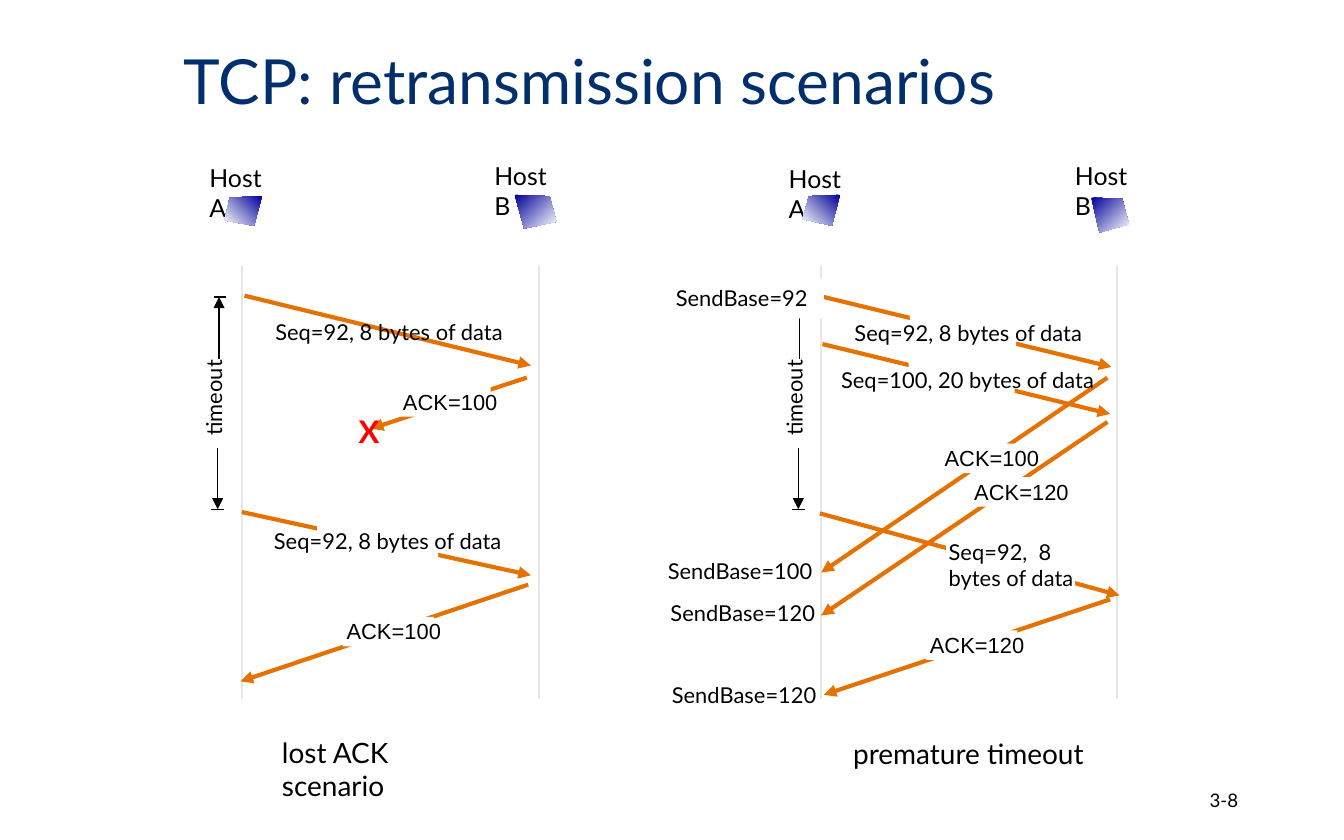
from lxml import etree
from pptx import Presentation
from pptx.dml.color import RGBColor
from pptx.enum.shapes import MSO_CONNECTOR, MSO_SHAPE
from pptx.enum.text import MSO_ANCHOR, PP_ALIGN
from pptx.oxml.ns import qn
from pptx.util import Emu, Pt

SCALE = 9144  # EMU per px, 100 px to the inch
BLACK, WHITE, NAVY, ORANGE = "000000", "FFFFFF", "002F6C", "E57200"
GREY, RED, BLUE = "E7E6E6", "FF0000", "000099"


def px(*values):
    return [Emu(v * SCALE) for v in values]


def rgb(hex_string):
    return RGBColor.from_string(hex_string)


class Diagram:
    font, label_size = "Lato", 11.7

    def __init__(self, slide):
        self.s = slide

    def fill_text(self, sp, text, size=None, color=BLACK, font=None, bold=False,
                  wrap=False, align=PP_ALIGN.LEFT, anchor=MSO_ANCHOR.TOP, spacing=None):
        tf = sp.text_frame
        tf.word_wrap, tf.vertical_anchor = wrap, anchor
        style = {"name": font or self.font, "size": Pt(size or self.label_size), "bold": bold}
        for i, line in enumerate(text.split("\n")):
            p = tf.add_paragraph() if i else tf.paragraphs[0]
            p.alignment, p.line_spacing = align, spacing
            r = p.add_run()
            r.text = line
            for key, value in style.items():
                setattr(r.font, key, value)
            r.font.color.rgb = rgb(color)

    def text(self, box, text, **style):
        sp = self.s.shapes.add_textbox(*px(*box))
        self.fill_text(sp, text, **style)
        return sp

    def rect(self, box):
        sp = self.s.shapes.add_shape(MSO_SHAPE.RECTANGLE, *px(*box))
        sp.shadow.inherit = False
        sp.fill.solid()
        sp.fill.fore_color.rgb = rgb(WHITE)
        sp.line.fill.background()
        return sp

    def line(self, start, end, color, width=0.75, arrow=False):
        sp = self.s.shapes.add_connector(MSO_CONNECTOR.STRAIGHT, *px(*start, *end))
        sp.line.color.rgb, sp.line.width = rgb(color), Pt(width)
        if arrow:
            etree.SubElement(sp.line._get_or_add_ln(), qn("a:tailEnd"), type="triangle")
        etree.SubElement(sp._element.spPr, qn("a:effectLst"))

    def message(self, start, end):
        self.line(start, end, ORANGE, 2.25, arrow=True)

    def data(self, start, end, label_box, text, mask=None):
        self.message(start, end)
        if mask:
            self.rect(mask)
        self.text(label_box, text)

    def ack(self, start, end, x, y, number):
        self.message(start, end)
        self.rect((x + 7, y + 4, 68, 22))
        self.text((x, y, 91, 30), f"ACK={number}", font="Arial")

    def timeout(self, x, top_bar=True):
        label = self.text((x - 19, 269, 40, 65), "timeout")
        label.rotation = 180
        label.text_frame._txBody.bodyPr.set("vert", "eaVert")
        self.line((x, 267), (x, 221), BLACK, arrow=True)
        self.line((x - 1, 333), (x - 1, 379), BLACK, arrow=True)
        self.line((x + 4, 379), (x - 6, 379), BLACK)
        if top_bar:
            self.line((x - 4, 221), (x + 5, 221), BLACK)

    def host(self, x, y, name):
        # The wide right inset sets the letter on a second line
        tf = self.text((x, y, 75, 33), f"Host {name}", size=13.3, wrap=True).text_frame
        tf.margin_right = px(20)[0]

    def computer(self, points, angle):
        fb = self.s.shapes.build_freeform(*points[0], scale=SCALE)
        fb.add_line_segments(points[1:], close=True)
        sp = fb.convert_to_shape()
        sp.shadow.inherit = False
        sp.line.fill.background()
        sp.fill.gradient()
        sp.fill.gradient_angle = angle
        for stop, position, color in zip(sp.fill.gradient_stops, (0, 1), (BLUE, WHITE)):
            stop.position, stop.color.rgb = position, rgb(color)


def main():
    prs = Presentation()
    prs.slide_width, prs.slide_height = px(1000, 625)
    d = Diagram(prs.slides.add_slide(prs.slide_layouts[6]))

    # Title, captions and page number
    d.text((127, 22, 708, 82), "TCP: retransmission scenarios", size=33.3, color=NAVY,
           wrap=True, anchor=MSO_ANCHOR.MIDDLE, spacing=0.9)
    d.text((200, 542, 180, 35), "lost ACK scenario", size=15)
    d.text((625, 543, 194, 35), "premature timeout", size=15)
    d.text((706, 579, 225, 33), "3-8", size=10, wrap=True,
           align=PP_ALIGN.RIGHT, anchor=MSO_ANCHOR.MIDDLE)

    # Hosts and their lifelines
    for x, y, name in ((146, 116, "A"), (358, 115, "B"), (577, 117, "A"), (790, 115, "B")):
        d.host(x, y, name)
    for x in (180, 401, 611, 831):
        d.line((x, 198), (x, 520), GREY)

    # Lost ACK scenario
    seq92 = "Seq=92, 8 bytes of data"
    d.data((182, 220), (395, 272), (195, 232, 196, 30), seq92)
    d.ack((392, 281), (276, 319), 290, 284, 100)
    d.data((180, 381), (395, 428), (194, 388, 196, 30), seq92, mask=(236, 381, 90, 39))
    d.text((257, 302, 36, 38), "X", size=16.7, color=RED, bold=True)
    d.ack((393, 435), (179, 507), 248, 455, 100)
    d.timeout(163)

    # Premature timeout scenario
    d.data((613, 221), (827, 273), (626, 233, 196, 30), seq92, mask=(677, 228, 79, 37))
    d.data((610, 382), (833, 443), (696, 396, 115, 49), "Seq=92,  8\nbytes of data",
           mask=(704, 393, 96, 46))
    d.ack((824, 281), (611, 426), 693, 326, 100)
    d.ack((826, 446), (613, 517), 682, 465, 120)
    d.timeout(595, top_bar=False)
    d.data((612, 256), (826, 308), (616, 268, 213, 30), "Seq=100, 20 bytes of data",
           mask=(676, 263, 79, 37))
    d.ack((824, 314), (611, 458), 715, 351, 120)

    # Send base values
    for x, y, base in ((487, 410, 100), (489, 441, 120), (490, 502, 120)):
        d.text((x, y, 129, 30), f"SendBase={base}")
    d.fill_text(d.rect((493, 207, 120, 30)), "SendBase=92")

    # Computer icons
    for points, angle in (
        (((625, 145), (602, 146), (597, 163), (619, 168)), 225),
        (((812, 147), (835, 148), (840, 167), (818, 173)), 315),
        (((195, 146), (171, 147), (167, 164), (189, 168)), 225),
        (((383, 145), (409, 146), (414, 165), (390, 170)), 315),
    ):
        d.computer(points, angle)

    prs.save("out.pptx")


if __name__ == "__main__":
    main()
